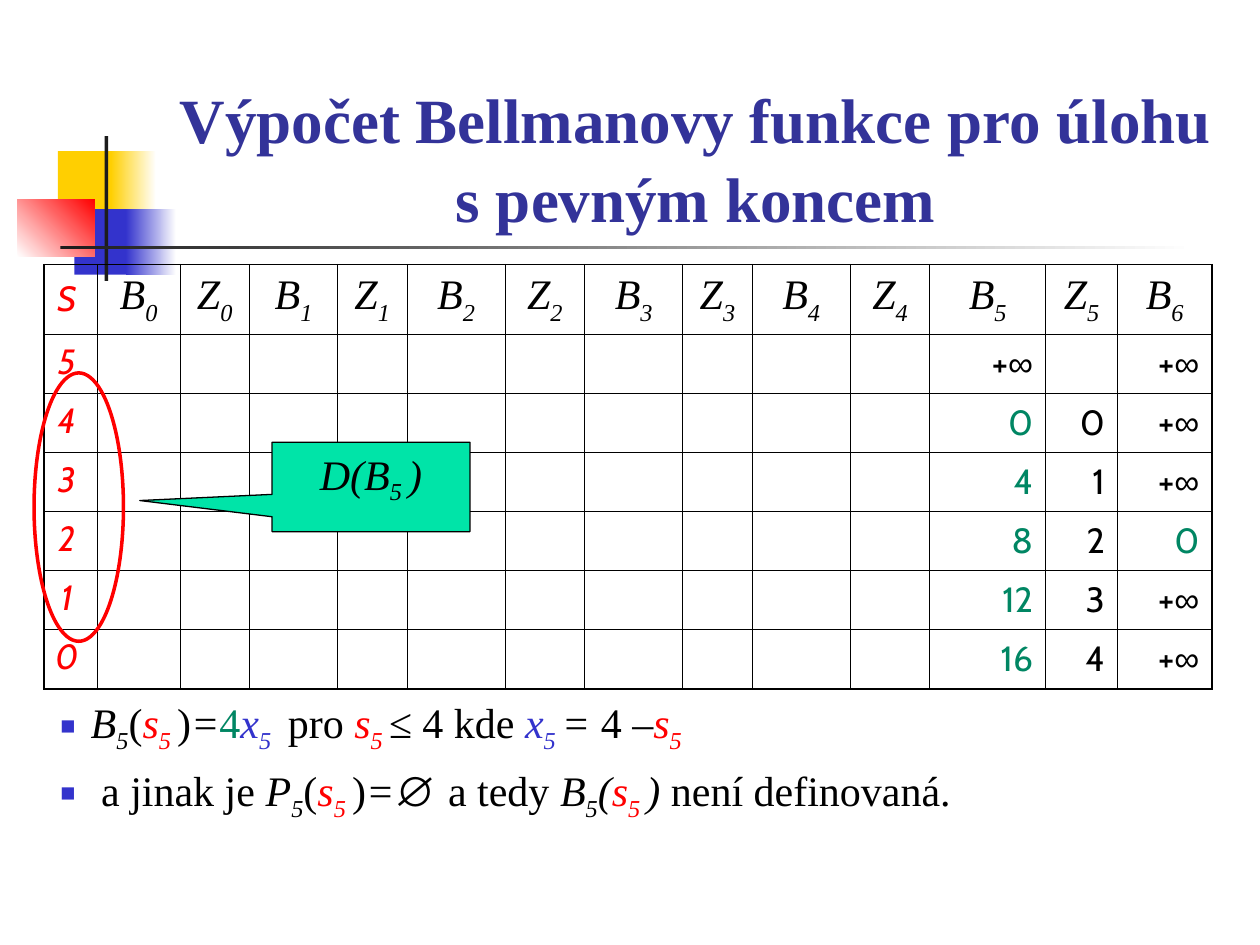
from typing import NamedTuple
from lxml import etree
from pptx import Presentation
from pptx import util as u
from pptx.dml.color import RGBColor
from pptx.enum import shapes, text
from pptx.oxml.ns import qn

HUES = {
    "black": "000000", "white": "FFFFFF", "red": "FF0000", "blue": "3333CC",
    "green": "008663", "gold": "FFCF01", "dark": "1C1C1C", "title": "333399",
    "mint": "00E4A8",
}
SERIF, SANS, HAND = "Times New Roman", "Arial", "Cabin"
CENTER, RIGHT = text.PP_ALIGN.CENTER, text.PP_ALIGN.RIGHT
TOP, MIDDLE = text.MSO_ANCHOR.TOP, text.MSO_ANCHOR.MIDDLE
THIN, THICK = 0.45, 1.08


class Bit(NamedTuple):
    """A stretch of text in one format; base is the offset in percent."""
    text: str
    hue: str = "black"
    ital: bool = False
    base: int = 0
    font: str = SERIF


class Block(NamedTuple):
    """A rectangle of the emblem, plain or fading from hue to fade."""
    left: float
    top: float
    width: float
    height: float
    hue: str
    fade: str = ""
    angle: int = 0


def color(name: str) -> RGBColor:
    return RGBColor.from_string(HUES[name])


def var(name: str, index: str, hue: str = "black", drop: int = -25) -> list[Bit]:
    return [Bit(name, hue, True), Bit(index, hue, True, drop)]


def write(para, bits: list[Bit], size: float) -> None:
    for bit in bits:
        run = para.add_run()
        run.text = bit.text
        run.font.name, run.font.size = bit.font, u.Pt(size)
        run.font.italic, run.font.color.rgb = bit.ital, color(bit.hue)
        if bit.base:
            run.font._element.set("baseline", str(bit.base * 1000))


def place(shape, left: float, top: float, width: float, height: float) -> None:
    shape.left, shape.top = u.Inches(left), u.Inches(top)
    shape.width, shape.height = u.Inches(width), u.Inches(height)


def add(slide, kind, left: float, top: float, width: float, height: float):
    shape = slide.shapes.add_shape(kind, *map(u.Inches, (left, top, width, height)))
    shape.shadow.inherit = False
    return shape


def draw_block(slide, block: Block) -> None:
    shape = add(slide, shapes.MSO_SHAPE.RECTANGLE, *block[:4])
    shape.line.fill.background()
    if block.fade:
        shape.fill.gradient()
        shape.fill.gradient_angle = block.angle
        for stop, hue in zip(shape.fill.gradient_stops, (block.hue, block.fade)):
            stop.color.rgb = color(hue)
    else:
        shape.fill.solid()
        shape.fill.fore_color.rgb = color(block.hue)


def add_bullet(para) -> None:
    props = para._p.get_or_add_pPr()
    props.set("marL", str(u.Inches(0.24)))
    props.set("indent", str(-u.Inches(0.24)))
    tint = etree.SubElement(props, qn("a:buClr"))
    etree.SubElement(tint, qn("a:srgbClr"), val=HUES["blue"])
    etree.SubElement(props, qn("a:buSzPct"), val="60000")
    etree.SubElement(props, qn("a:buFont"), typeface=SANS)
    etree.SubElement(props, qn("a:buChar"), char="■")


def set_edges(cell, widths: dict[str, float]) -> None:
    props = cell._tc.get_or_add_tcPr()
    for side, width in widths.items():
        line = etree.SubElement(props, qn(f"a:ln{side}"), w=str(u.Pt(width)))
        fill = etree.SubElement(line, qn("a:solidFill"))
        etree.SubElement(fill, qn("a:srgbClr"), val=HUES["black"])


def fill_cell(cell, bits: list[Bit], size: float, align, anchor,
              left: float, right: float) -> None:
    cell.margin_left, cell.margin_right = u.Inches(left), u.Inches(right)
    cell.vertical_anchor = anchor
    para = cell.text_frame.paragraphs[0]
    para.alignment = align
    write(para, bits, size)


def value(entry: str, hue: str) -> list[Bit]:
    if entry == "+∞":
        return [Bit("+", font=HAND), Bit("∞", font=SANS)]
    return [Bit(entry, hue, font=HAND)]


def draw_table(slide) -> None:
    cols = [0.42, 0.66, 0.55, 0.7, 0.55, 0.78, 0.63, 0.78, 0.55, 0.78, 0.63,
            0.92, 0.57, 0.75]
    heads = [(name, str(step)) for step in range(6) for name in "BZ"] + [("B", "6")]
    # State: values of B5, Z5 and B6
    rows = {
        "5": ("+∞", "", "+∞"), "4": ("0", "0", "+∞"), "3": ("4", "1", "+∞"),
        "2": ("8", "2", "0"), "1": ("12", "3", "+∞"), "0": ("16", "4", "+∞"),
    }
    tall = [0.55] + [0.47] * len(rows)
    frame = slide.shapes.add_table(
        len(tall), len(cols),
        *map(u.Inches, (0.35, 2.1, sum(cols), sum(tall))))
    table = frame.table
    table.first_row = table.horz_banding = False
    for col, width in zip(table.columns, cols):
        col.width = u.Inches(width)
    for row, height in zip(table.rows, tall):
        row.height = u.Inches(height)

    # Borders: thick outside and between B4 and Z4 in the head row
    end, last = len(cols) - 1, len(tall) - 1
    for y in range(len(tall)):
        for x in range(len(cols)):
            heavy = {"L": x == 0 or (x, y) == (10, 0),
                     "R": x == end or (x, y) == (9, 0),
                     "T": y == 0, "B": y == last}
            cell = table.cell(y, x)
            set_edges(cell, {side: THICK if on else THIN for side, on in heavy.items()})
            cell.fill.background()

    # Head row
    for x, (name, index) in enumerate(heads, 1):
        fill_cell(table.cell(0, x), var(name, index, drop=-30), 24,
                  CENTER, MIDDLE, 0.02, 0.02)
    # State column and values
    for y, state in enumerate(["S", *rows]):
        fill_cell(table.cell(y, 0), [Bit(state, "red", True, font=HAND)], 20,
                  CENTER, TOP if y else MIDDLE, 0.04, 0.1)
    for y, entries in enumerate(rows.values(), 1):
        for x, (entry, hue) in enumerate(zip(entries, ("green", "black", "green")), 11):
            if entry:
                fill_cell(table.cell(y, x), value(entry, hue), 20,
                          RIGHT, MIDDLE, 0.02, 0.1)


def draw_list(body) -> None:
    place(body, 0.38, 5.48, 9.62, 1.1)
    frame = body.text_frame
    frame.auto_size = text.MSO_AUTO_SIZE.NONE
    state, step = var("s", "5 ", "red"), var("x", "5 ", "blue")
    close = [Bit(")"), Bit("=", ital=True)]
    lines = [
        [*var("B", "5"), Bit("("), *state, *close, Bit("4", "green"), *step,
         Bit(" pro "), *state, Bit("≤ ", ital=True), Bit("4 kde "), *step,
         Bit("= ", ital=True), Bit("4 "), Bit("–", ital=True), *var("s", "5", "red")],
        [Bit(" a jinak je "), *var("P", "5"), Bit("("), *state, *close,
         Bit("∅ ", ital=True, font=SANS), Bit("a tedy "), *var("B", "5"),
         Bit("(", ital=True), *state, Bit(") ", ital=True), Bit("není definovaná.")],
    ]
    for i, bits in enumerate(lines):
        para = frame.add_paragraph() if i else frame.paragraphs[0]
        add_bullet(para)
        para.space_before = u.Pt(6 if i else 0)
        write(para, bits, 24)


def main() -> None:
    deck = Presentation()
    deck.slide_width, deck.slide_height = u.Inches(10), u.Inches(7.5)
    slide = deck.slides.add_slide(deck.slide_layouts[1])

    # Emblem
    for block in (
        Block(0.46, 1.2, 0.48, 0.52, "gold"),
        Block(0.88, 1.2, 0.36, 0.52, "gold", "white"),
        Block(0.59, 1.66, 0.46, 0.52, "blue"),
        Block(1, 1.66, 0.4, 0.52, "blue", "white"),
        Block(0.14, 1.58, 0.61, 0.46, "white", "red", 45),
        Block(0.83, 1.08, 0.03, 1.15, "dark"),
        Block(0.48, 1.95, 9, 0.03, "dark", "white"),
    ):
        draw_block(slide, block)

    # Title
    title = slide.shapes.title
    place(title, 1.26, 0.67, 8.52, 1.25)
    frame = title.text_frame
    frame.text = "Výpočet Bellmanovy funkce pro úlohu s pevným koncem"
    frame.auto_size = text.MSO_AUTO_SIZE.NONE
    frame.vertical_anchor = text.MSO_ANCHOR.BOTTOM
    para = frame.paragraphs[0]
    para.alignment, para.line_spacing = CENTER, 1.05
    font = para.runs[0].font
    font.name, font.size, font.bold = SERIF, u.Pt(36), True
    font.color.rgb = color("title")

    draw_table(slide)
    draw_list(slide.placeholders[1])

    # Ring around the states
    ring = add(slide, shapes.MSO_SHAPE.OVAL, 0.27, 2.96, 0.71, 2.13)
    ring.fill.background()
    ring.line.color.rgb, ring.line.width = color("red"), u.Pt(2)

    # Callout
    note = add(slide, shapes.MSO_SHAPE.RECTANGULAR_CALLOUT, 2.16, 3.51, 1.57, 0.71)
    note.adjustments[0], note.adjustments[1] = -1.169, 0.152
    note.fill.solid()
    note.fill.fore_color.rgb = color("mint")
    note.line.color.rgb, note.line.width = color("black"), u.Pt(0.75)
    note.text_frame.vertical_anchor = TOP
    para = note.text_frame.paragraphs[0]
    para.alignment = CENTER
    write(para, [*var("D(B", "5 "), Bit(")", ital=True)], 24)

    deck.save("out.pptx")


if __name__ == "__main__":
    main()
